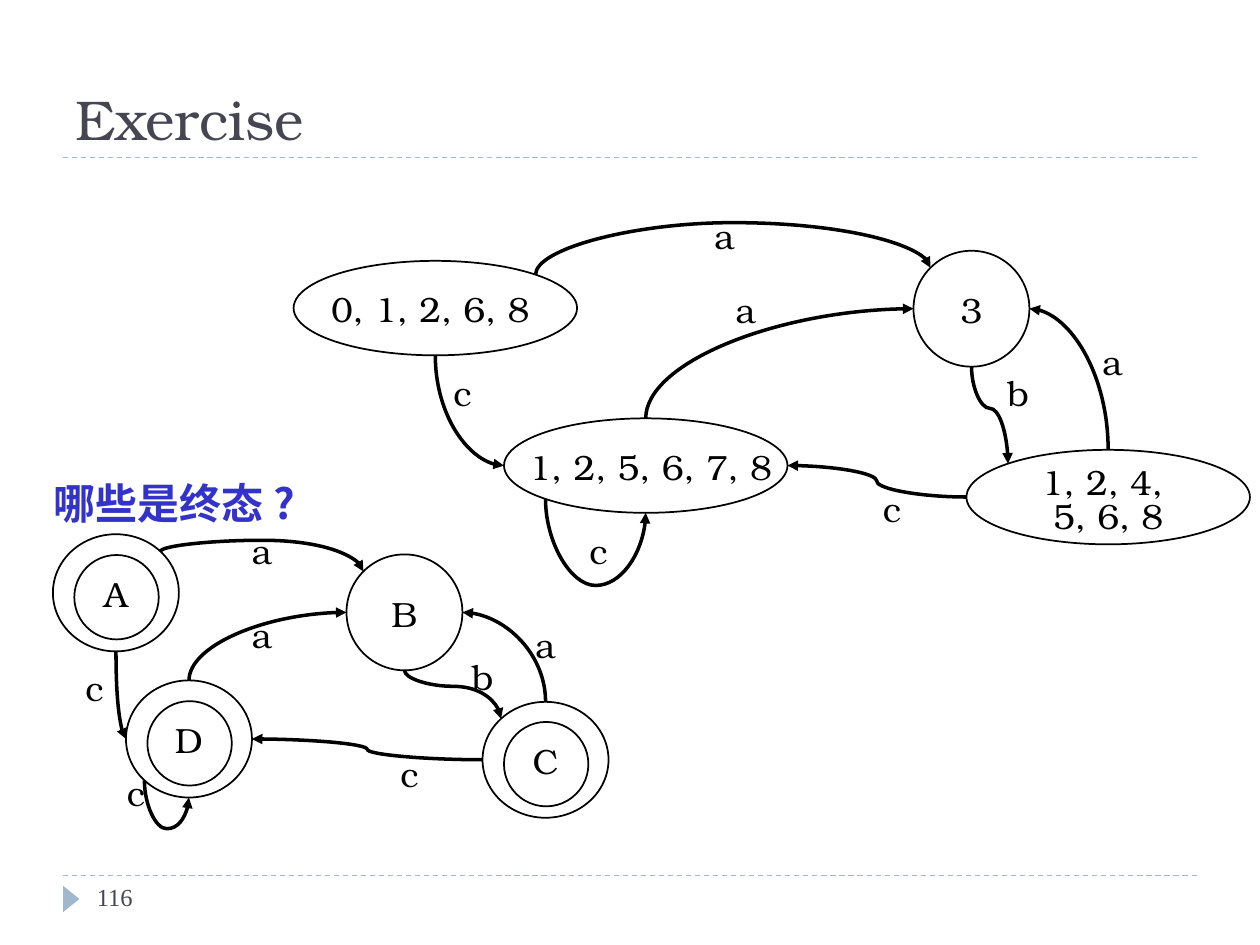
from math import sqrt
from lxml import etree
from pptx import Presentation
from pptx.dml.color import RGBColor
from pptx.enum import dml, shapes, text
from pptx.oxml import ns
from pptx.util import Inches, Pt

BLACK = RGBColor(0x00, 0x00, 0x00)
SLATE = RGBColor(0x46, 0x46, 0x53)
RULE = RGBColor(0x9F, 0xB8, 0xCD)
BLUE = RGBColor(0x33, 0x33, 0xCC)
SERIF = "TeX Gyre Bonum"
K = sqrt(0.5)
SITES = {
    "top": (0, -1), "bottom": (0, 1), "left": (-1, 0), "right": (1, 0),
    "top_left": (-K, -K), "top_right": (K, -K), "bottom_left": (-K, K),
}
EDGES = [
    ("A", "top_right", "B", "top_left"),
    ("C", "left", "D", "right"),
    ("C", "top", "B", "right"),
    ("B", "bottom", "C", "top_left"),
    ("D", "top", "B", "left"),
    ("A", "bottom", "D", "left"),
    ("D", "bottom_left", "D", "bottom"),
]


def add_text(s, box, lines, size=20, font=SERIF, color=BLACK, bold=False,
             align=text.PP_ALIGN.CENTER, anchor=text.MSO_ANCHOR.TOP, spacing=None):
    tf = s.shapes.add_textbox(*map(Inches, box)).text_frame
    tf.word_wrap = True
    tf.vertical_anchor = anchor
    for i, line in enumerate(lines):
        p = tf.paragraphs[0] if i == 0 else tf.add_paragraph()
        p.alignment = align
        if spacing:
            p.line_spacing = spacing
        r = p.add_run()
        r.text = line
        r.font.size = Pt(size)
        r.font.name = font
        r.font.bold = bold
        r.font.color.rgb = color
        ea = etree.SubElement(r.font._element, ns.qn("a:ea"))
        ea.set("typeface", font)


def add_line(s, kind, start, end, color, width):
    sp = s.shapes.add_connector(kind, *map(Inches, (*start, *end)))
    sp.line.color.rgb = color
    sp.line.width = Pt(width)
    etree.SubElement(sp._element.spPr, ns.qn("a:effectLst"))
    return sp


def add_ellipse(s, x, y, w, h):
    sp = s.shapes.add_shape(shapes.MSO_SHAPE.OVAL, *map(Inches, (x, y, w, h)))
    sp.shadow.inherit = False
    sp.fill.background()
    sp.line.color.rgb = BLACK
    sp.line.width = Pt(1)


def add_arc(s, start, end, upright, bend):
    (x0, y0), (x1, y1) = start, end
    if upright:
        cx, cy = (x0 + x1) / 2, (y0 + y1) / 2
        dx, dy = (x1 - x0) / 2, (y1 - y0) / 2
        start, end = (cx + dy, cy - dx), (cx - dy, cy + dx)
    sp = add_line(s, shapes.MSO_CONNECTOR.CURVE, start, end, BLACK, 2)
    spPr = sp._element.spPr
    if upright:
        spPr.find(ns.qn("a:xfrm")).set("rot", str(270 * 60000))
    geom = spPr.find(ns.qn("a:prstGeom"))
    if bend is None:
        geom.set("prst", "curvedConnector2")
    else:
        gd = etree.SubElement(geom.find(ns.qn("a:avLst")), ns.qn("a:gd"))
        gd.set("name", "adj1")
        gd.set("fmla", f"val {round(bend * 100000)}")
    tail = etree.SubElement(spPr.find(ns.qn("a:ln")), ns.qn("a:tailEnd"))
    tail.set("type", "triangle")


def site_point(node, site):
    x, y, w, h = node
    sx, sy = SITES[site]
    return x + w / 2 * (1 + sx), y + h / 2 * (1 + sy)


def add_automaton(s, left, top, nodes, bends, labels, finals=""):
    boxes = {}
    for name, (x, y, w, h, lines, shift, text_w) in nodes.items():
        box = boxes[name] = (left + x, top + y, w, h)
        add_ellipse(s, *box)
        cx, cy = box[0] + w / 2, box[1] + h / 2
        text_h = 0.44 if len(lines) == 1 else 0.57
        add_text(s, (cx + shift - text_w / 2, cy - text_h / 2 + 0.01, text_w, text_h),
                 lines, spacing=0.8 if len(lines) > 1 else None)
        if name in finals:
            add_ellipse(s, cx - 0.33, cy - 0.3, 0.67, 0.67)
    for (a, a_site, b, b_site), bend in zip(EDGES, bends):
        add_arc(s, site_point(boxes[a], a_site), site_point(boxes[b], b_site),
                a_site != "left", bend)
    for letter, x, y in labels:
        add_text(s, (left + x, top + y, 0.5, 0.44), [letter])


def add_header(s, left, top, width, height):
    add_text(s, (left, top, width, height), ["Exercise"], 32, color=SLATE,
             align=text.PP_ALIGN.LEFT, anchor=text.MSO_ANCHOR.BOTTOM)
    add_rule(s, left, top + height, width)


def add_rule(s, left, top, width):
    sp = add_line(s, shapes.MSO_CONNECTOR.STRAIGHT, (left, top), (left + width, top), RULE, 0.75)
    sp.line.dash_style = dml.MSO_LINE.DASH


def add_footer(s, left, top, width):
    add_rule(s, left, top, width)
    sp = s.shapes.add_shape(shapes.MSO_SHAPE.ISOSCELES_TRIANGLE,
                            *map(Inches, (left - 0.04, top + 0.12, 0.21, 0.13)))
    sp.rotation = 90
    sp.shadow.inherit = False
    sp.fill.solid()
    sp.fill.fore_color.rgb = RULE
    sp.line.fill.background()
    add_text(s, (left + 0.17, top, 2.17, 0.4), ["116"], 14, "Times New Roman",
             SLATE, align=text.PP_ALIGN.LEFT)


def main():
    prs = Presentation()
    prs.slide_width, prs.slide_height = Inches(10), Inches(7.5)
    s = prs.slides.add_slide(prs.slide_layouts[6])
    add_header(s, 0.5, 0.17, 9, 1.08)
    add_footer(s, 0.5, 6.95, 9)
    subsets = {
        "A": (0.08, 0.57, 2.25, 0.75, ["0, 1, 2, 6, 8"], -0.04, 1.83),
        "B": (5, 0.49, 0.92, 0.92, ["3"], 0, 0.58),
        "C": (5.42, 2.07, 2.25, 0.75, ["1, 2, 4, ", "5, 6, 8"], 0, 2.08),
        "D": (1.75, 1.82, 2.25, 0.75, ["1, 2, 5, 6, 7, 8"], 0.04, 2.17),
    }
    add_automaton(s, 2.25, 1.5, subsets, [7.5, 0.5, None, 0.43, None, None, 6.25],
                  [("a", 3.25, 0.15), ("c", 4.58, 2.32), ("a", 6.33, 1.15), ("b", 5.58, 1.4),
                   ("a", 3.42, 0.74), ("c", 1.17, 1.4), ("c", 2.25, 2.65)])
    add_text(s, (0.33, 3.74, 2.25, 0.5), ["哪些是终态 ?"], 24, "Noto Sans CJK SC",
             BLUE, True, text.PP_ALIGN.LEFT)
    renamed = {
        "A": (0.17, 0.24, 1, 0.93, ["A"], 0, 0.67),
        "B": (2.5, 0.4, 0.92, 0.92, ["B"], 0, 0.58),
        "C": (3.58, 1.57, 1, 0.92, ["C"], 0, 0.67),
        "D": (0.75, 1.4, 1, 0.93, ["D"], 0, 0.5),
    }
    add_automaton(s, 0.25, 4, renamed, [-0.56, 0.5, None, 0.33, None, None, 2.82],
                  [("a", 1.58, 0.15), ("c", 2.75, 1.92), ("a", 3.83, 0.9), ("b", 3.33, 1.15),
                   ("a", 1.58, 0.82), ("c", 0.25, 1.24), ("c", 0.58, 2.07)], "ACD")
    prs.save("out.pptx")


if __name__ == "__main__":
    main()
